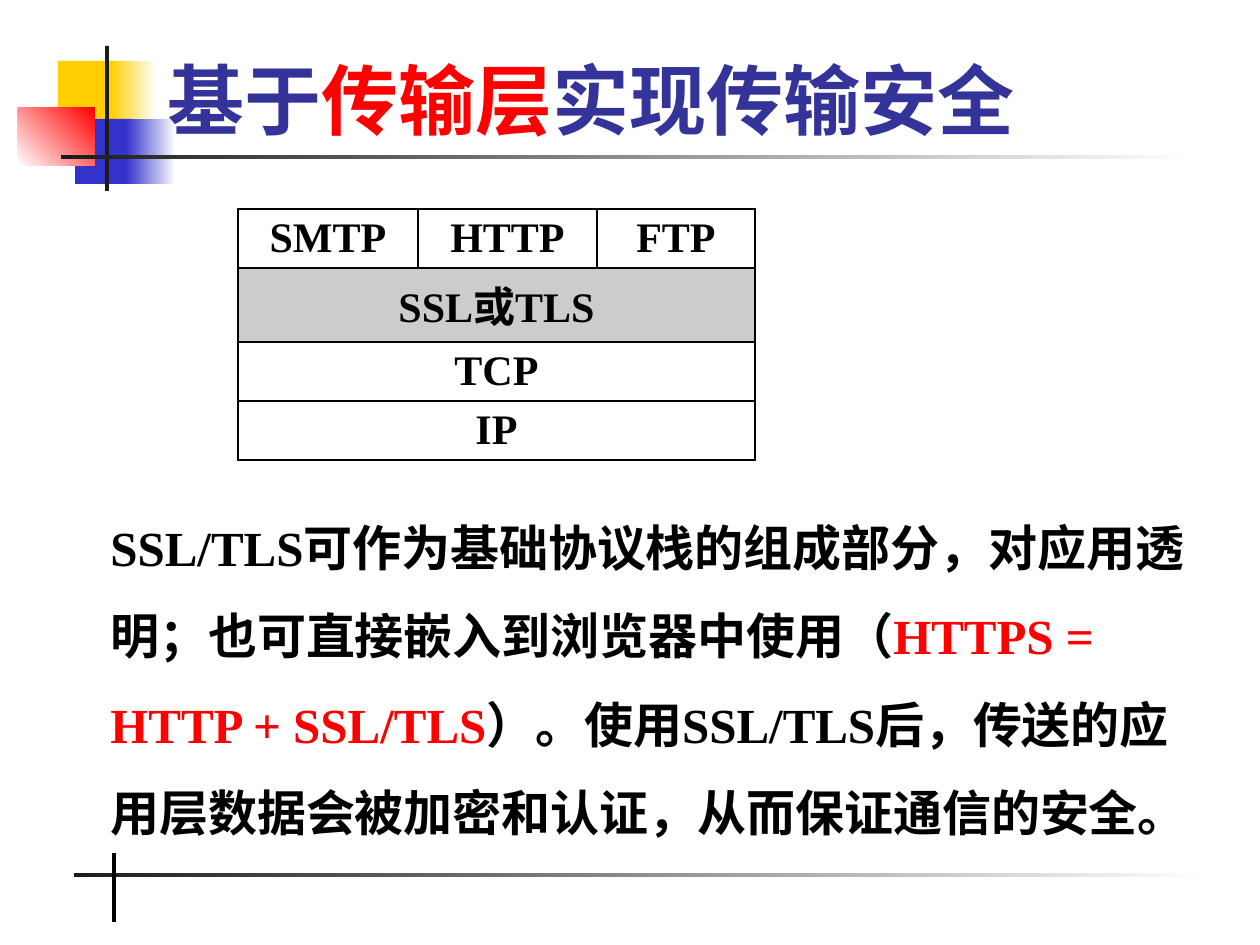
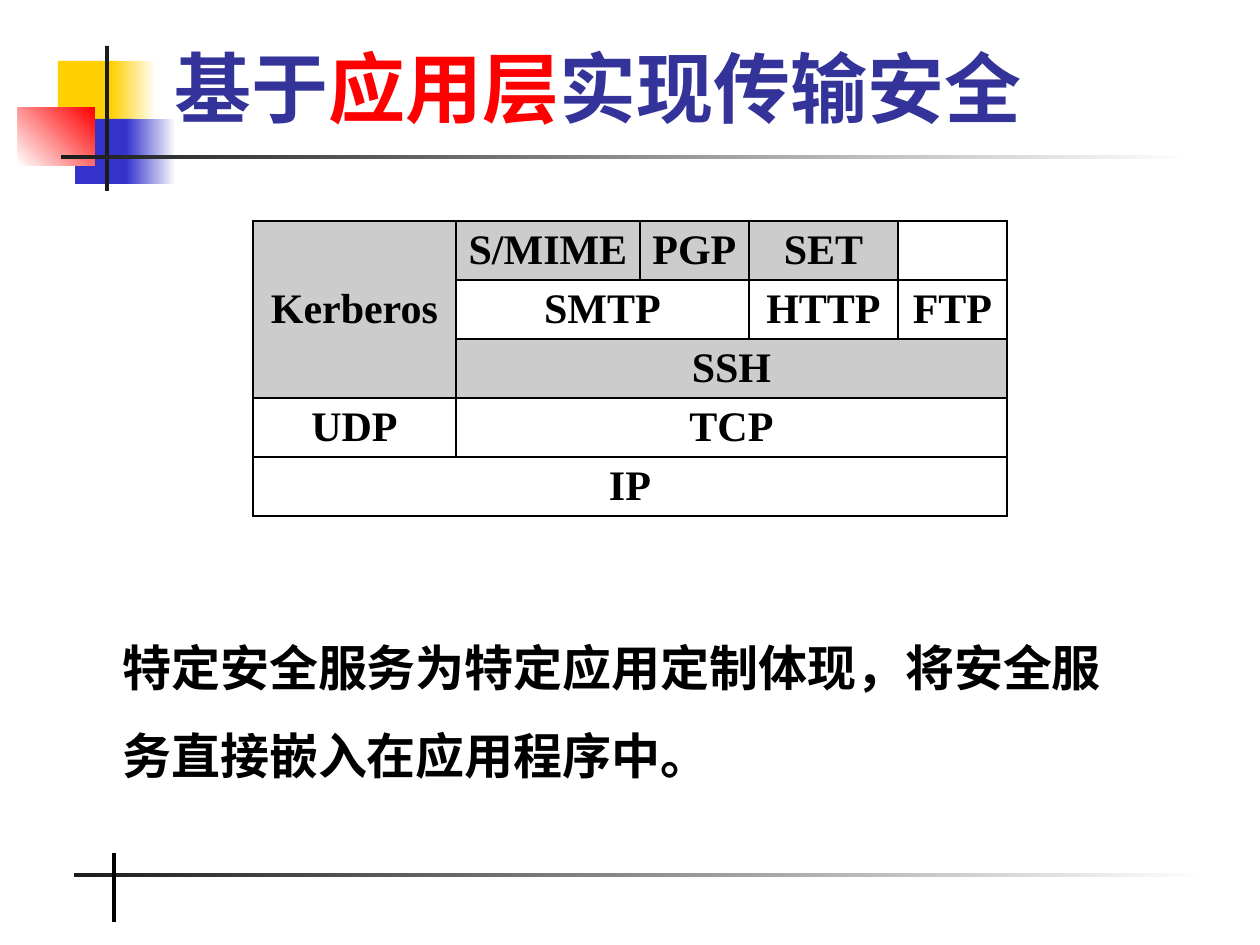
from dataclasses import dataclass
from itertools import product

from lxml.etree import SubElement
from pptx import Presentation
from pptx.dml.color import RGBColor as Rgb
from pptx.enum.lang import MSO_LANGUAGE_ID as Language
from pptx.enum.shapes import MSO_CONNECTOR as Connector, MSO_SHAPE as Preset
from pptx.enum.text import MSO_ANCHOR as Anchor, PP_ALIGN as Align
from pptx.oxml.ns import qn
from pptx.util import Pt


@dataclass(frozen=True)
class Theme:
    font: str = "Times New Roman"
    title_size: int = 44
    body_size: int = 28
    table_size: int = 24
    title: str = "333399"
    accent: str = "FF0000"
    text: str = "000000"
    white: str = "FFFFFF"
    yellow: str = "FFCF01"
    blue: str = "3333CC"
    rule: str = "1C1C1C"
    shaded: str = "CCCCCC"
    border_width: int = 1
    line_width: float = 2.25


THEME = Theme()
SLIDE_SIZE = (1260, 945)
CELL_MARGIN = 6
EMU_PER_PX = 914400 / 126


def emu(px):
    return round(px * EMU_PER_PX)


def color(value):
    return Rgb.from_string(value)


def format_run(run, size, value):
    font = run.font
    font.name, font.size, font.bold = THEME.font, Pt(size), True
    font.color.rgb = color(value)
    font.language_id = Language.SIMPLIFIED_CHINESE


def add_block(slide, box, start, end=None, angle=0):
    shape = slide.shapes.add_shape(Preset.RECTANGLE, *map(emu, box))
    shape.shadow.inherit = False
    shape.line.fill.background()
    if end is None:
        shape.fill.solid()
        shape.fill.fore_color.rgb = color(start)
        return
    shape.fill.gradient()
    shape.fill.gradient_angle = angle
    for stop, value in zip(shape.fill.gradient_stops, (start, end)):
        stop.color.rgb = color(value)


def add_header_art(slide, box):
    left, top = box
    blocks = (
        ((40, 15, 60, 66), THEME.yellow),
        ((93, 15, 45, 66), THEME.yellow, THEME.white),
        ((57, 73, 58, 65), THEME.blue),
        ((108, 73, 50, 65), THEME.blue, THEME.white),
        ((0, 62, 77, 58), THEME.white, THEME.accent, 45),
        ((87, 0, 4, 145), THEME.rule),
        ((43, 109, 1134, 4), THEME.rule, THEME.white),
    )
    for (x, y, width, height), *paint in blocks:
        add_block(slide, (left + x, top + y, width, height), *paint)


def add_footer_art(slide, box):
    left, top, width, height = box
    add_block(slide, (left, top + 20, width, 4), THEME.rule, THEME.white)
    x = left + 40
    line = slide.shapes.add_connector(
        Connector.STRAIGHT, *map(emu, (x, top, x, top + height)))
    line.line.color.rgb = color(THEME.text)
    line.line.width = Pt(THEME.line_width)
    SubElement(line._element.spPr, qn("a:effectLst"))


def add_text(slide, box, parts, size, anchor=Anchor.TOP, spacing=1.0):
    text_frame = slide.shapes.add_textbox(*map(emu, box)).text_frame
    text_frame.word_wrap = True
    text_frame.vertical_anchor = anchor
    paragraph = text_frame.paragraphs[0]
    paragraph.line_spacing = spacing
    for text, value in parts:
        run = paragraph.add_run()
        run.text = text
        format_run(run, size, value)


def add_title(slide, box, layer):
    parts = (("基于", THEME.title), (layer, THEME.accent),
             ("实现传输安全", THEME.title))
    add_text(slide, box, parts, THEME.title_size, Anchor.BOTTOM)


def add_body(slide, box, parts):
    add_text(slide, box, parts, THEME.body_size, spacing=1.5)


def style_cell(cell):
    properties = cell._tc.get_or_add_tcPr()
    for side in "LRTB":
        border = SubElement(properties, qn(f"a:ln{side}"),
                            w=str(Pt(THEME.border_width)))
        fill = SubElement(border, qn("a:solidFill"))
        SubElement(fill, qn("a:srgbClr"), val=THEME.text)
    cell.fill.background()
    cell.margin_left = cell.margin_right = emu(CELL_MARGIN)
    cell.margin_top, cell.margin_bottom = emu(CELL_MARGIN), 0


def add_protocol_stack(slide, corner, columns, rows, layers):
    box = (*corner, sum(columns), sum(rows))
    table = slide.shapes.add_table(
        len(rows), len(columns), *map(emu, box)).table
    table.first_row = table.horz_banding = False
    for column, width in zip(table.columns, columns):
        column.width = emu(width)
    for row, height in zip(table.rows, rows):
        row.height = emu(height)
    for row, column in product(range(len(rows)), range(len(columns))):
        style_cell(table.cell(row, column))
    for row, column, row_span, column_span, name, shaded in layers:
        cell = table.cell(row, column)
        if row_span * column_span > 1:
            cell.merge(table.cell(row + row_span - 1,
                                  column + column_span - 1))
        if row_span > 1:
            cell.vertical_anchor = Anchor.MIDDLE
            cell.margin_top = 0
        if shaded:
            cell.fill.solid()
            cell.fill.fore_color.rgb = color(THEME.shaded)
        paragraph = cell.text_frame.paragraphs[0]
        paragraph.text = name
        paragraph.alignment = Align.CENTER
        format_run(paragraph.runs[0], THEME.table_size, THEME.text)


def add_base_slide(presentation):
    slide = presentation.slides.add_slide(presentation.slide_layouts[6])
    add_header_art(slide, (18, 46))
    add_footer_art(slide, (74, 853, 1134, 69))
    return slide


def add_transport_slide(presentation):
    slide = add_base_slide(presentation)
    add_title(slide, (155, 49, 1023, 102), "传输层")
    add_protocol_stack(slide, (238, 209), (180, 179, 158), (59, 74, 59, 59), (
        (0, 0, 1, 1, "SMTP", False),
        (0, 1, 1, 1, "HTTP", False),
        (0, 2, 1, 1, "FTP", False),
        (1, 0, 1, 3, "SSL或TLS", True),
        (2, 0, 1, 3, "TCP", False),
        (3, 0, 1, 3, "IP", False),
    ))
    add_body(slide, (98, 482, 1111, 358), (
        ("SSL/TLS可作为基础协议栈的组成部分，对应用透明；"
         "也可直接嵌入到浏览器中使用（", THEME.text),
        ("HTTPS = HTTP + SSL/TLS", THEME.accent),
        ("）。使用SSL/TLS后，传送的应用层数据会被加密和认证，"
         "从而保证通信的安全。", THEME.text),
    ))


def add_application_slide(presentation):
    slide = add_base_slide(presentation)
    add_title(slide, (162, 61, 998, 78), "应用层")
    columns = (203, 184, 109, 149, 109)
    add_protocol_stack(slide, (253, 221), columns, (59,) * 5, (
        (0, 0, 3, 1, "Kerberos", True),
        (0, 1, 1, 1, "S/MIME", True),
        (0, 2, 1, 1, "PGP", True),
        (0, 3, 1, 1, "SET", True),
        (1, 1, 1, 2, "SMTP", False),
        (1, 3, 1, 1, "HTTP", False),
        (1, 4, 1, 1, "FTP", False),
        (2, 1, 1, 4, "SSH", True),
        (3, 0, 1, 1, "UDP", False),
        (3, 1, 1, 4, "TCP", False),
        (4, 0, 1, 5, "IP", False),
    ))
    add_body(slide, (110, 602, 1018, 199), (
        ("特定安全服务为特定应用定制体现，将安全服务直接嵌入在应用程序中。",
         THEME.text),
    ))


def main():
    presentation = Presentation()
    presentation.slide_width, presentation.slide_height = map(emu, SLIDE_SIZE)
    add_transport_slide(presentation)
    add_application_slide(presentation)
    presentation.save("out.pptx")


if __name__ == "__main__":
    main()
